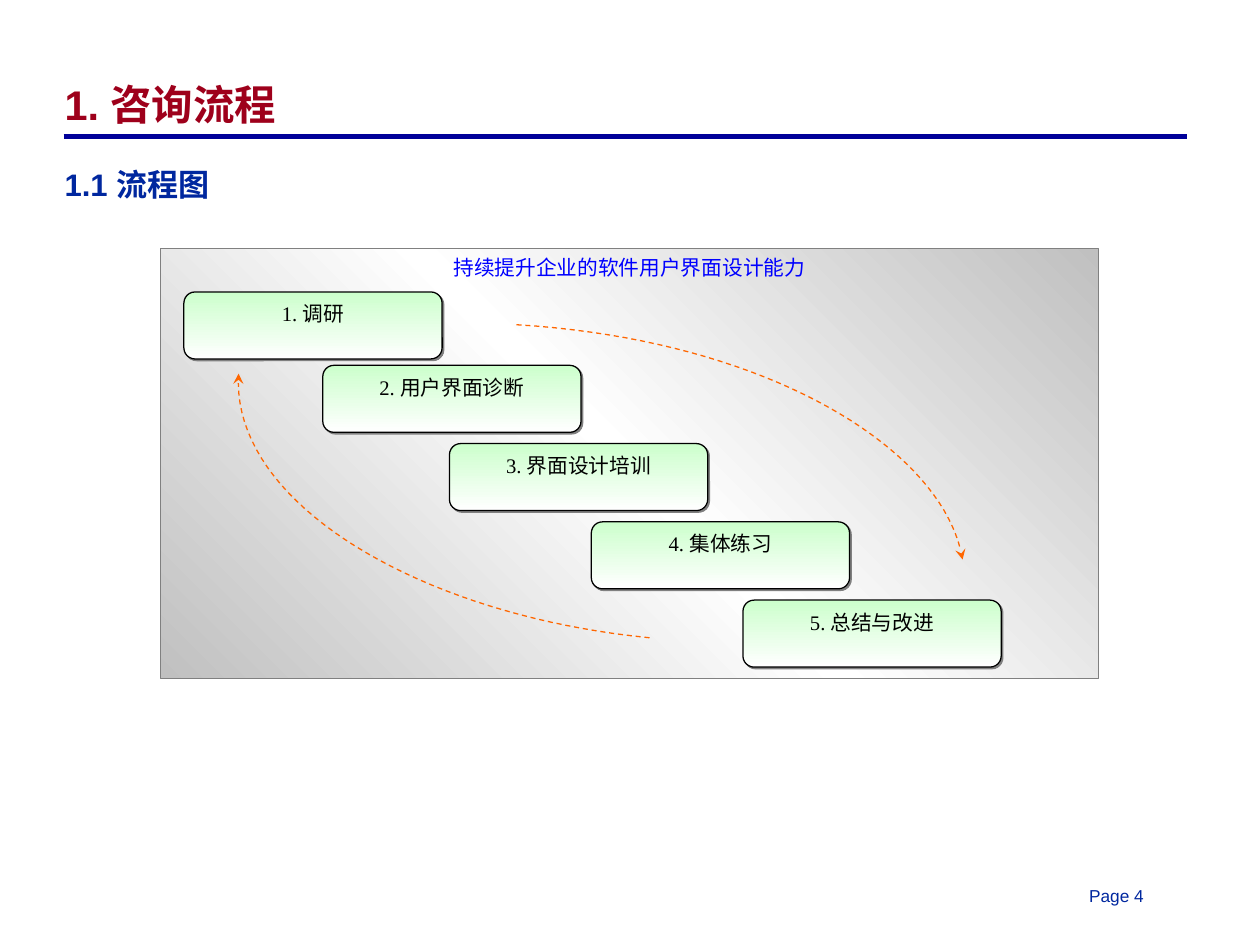
from lxml import etree
from pptx import Presentation
from pptx.dml.color import RGBColor
from pptx.enum.dml import MSO_LINE
from pptx.enum.shapes import MSO_CONNECTOR, MSO_SHAPE as SHAPE
from pptx.enum.text import MSO_ANCHOR as ANCHOR, PP_ALIGN as ALIGN
from pptx.oxml.ns import qn
from pptx.util import Cm, Pt


def color(hex_value):
    return RGBColor.from_string(hex_value)


def add_xml(parent, tag, **attributes):
    return etree.SubElement(parent, qn(tag), attributes)


class ProcessSlide:
    SANS, SERIF, CHINESE = "Arial", "Times New Roman", "Noto Sans CJK SC"
    NAVY, RED, BLUE = "00279F", "9E001B", "0000FF"
    RULE, ORANGE, GREY = "000099", "FF6600", "808080"

    def __init__(self, deck):
        self.shapes = deck.slides.add_slide(deck.slide_layouts[6]).shapes

    def set_text(self, shape, text, size, hex_value, font, bold=False, align=ALIGN.LEFT):
        frame = shape.text_frame
        frame.word_wrap = True
        frame.vertical_anchor = ANCHOR.TOP
        frame.text = text
        paragraph = frame.paragraphs[0]
        paragraph.alignment = align
        for run in paragraph.runs:
            run.font.size = Pt(size)
            run.font.bold = bold
            run.font.name = font
            run.font.color.rgb = color(hex_value)
            add_xml(run.font._element, "a:ea", typeface=self.CHINESE)
        return paragraph

    def label(self, box, text, size, hex_value, bold=False, anchor=ANCHOR.TOP, spacing=None):
        area = self.shapes.add_textbox(*map(Cm, box))
        paragraph = self.set_text(area, text, size, hex_value, self.SANS, bold)
        area.text_frame.vertical_anchor = anchor
        if spacing:
            paragraph.line_spacing = spacing

    def rule(self, left, right, top):
        line = self.shapes.add_connector(
            MSO_CONNECTOR.STRAIGHT, Cm(left), Cm(top), Cm(right), Cm(top))
        line.line.color.rgb = color(self.RULE)
        line.line.width = Pt(3)
        add_xml(line._element.spPr, "a:effectLst")

    def gradient_box(self, kind, box, text, text_color, stops, angle, outline):
        shape = self.shapes.add_shape(kind, *map(Cm, box))
        shape.shadow.inherit = False
        shape.fill.gradient()
        shape.fill.gradient_angle = 360 - angle
        stop_list = shape._element.spPr.find(".//" + qn("a:gsLst"))
        for old_stop in list(stop_list):
            stop_list.remove(old_stop)
        for position, stop_color in stops:
            stop = add_xml(stop_list, "a:gs", pos=str(position * 1000))
            add_xml(stop, "a:srgbClr", val=stop_color)
        shape.line.color.rgb = color(outline)
        shape.line.width = Pt(0.75)
        self.set_text(shape, text, 12, text_color, self.SERIF, align=ALIGN.CENTER)
        return shape

    def panel(self, box, text):
        stops = [(0, "C0C0C0"), (50, "FFFFFF"), (100, "C0C0C0")]
        self.gradient_box(SHAPE.RECTANGLE, box, text, self.BLUE, stops, 135, self.GREY)

    def step(self, left, top, text):
        stops = [(0, "CCFFCC"), (100, "FFFFFF")]
        shape = self.gradient_box(SHAPE.FLOWCHART_ALTERNATE_PROCESS, (left, top, 5.28, 1.37),
                                  text, "000000", stops, 90, "000000")
        effects = shape._element.spPr.find(qn("a:effectLst"))
        shadow = add_xml(effects, "a:outerShdw", dist=str(Pt(1.4)),
                         dir="2700000", algn="ctr", rotWithShape="0")
        add_xml(shadow, "a:srgbClr", val=self.GREY)

    def curved_arrow(self, *controls, segments=40):
        """Draw a cubic curve through four control points, given in cm."""
        points = []
        for i in range(segments + 1):
            t = i / segments
            weights = ((1 - t) ** 3, 3 * t * (1 - t) ** 2, 3 * t * t * (1 - t), t ** 3)
            points.append(tuple(
                Cm(sum(w * c[axis] for w, c in zip(weights, controls))) for axis in (0, 1)))
        builder = self.shapes.build_freeform(*points[0])
        builder.add_line_segments(points[1:], close=False)
        arrow = builder.convert_to_shape()
        arrow.shadow.inherit = False
        arrow.fill.background()
        arrow.line.color.rgb = color(self.ORANGE)
        arrow.line.width = Pt(0.75)
        arrow.line.dash_style = MSO_LINE.DASH
        add_xml(arrow._element.spPr.find(qn("a:ln")), "a:tailEnd", type="stealth")


def main():
    deck = Presentation()
    deck.slide_width, deck.slide_height = Cm(25.76), Cm(19.3)
    slide = ProcessSlide(deck)

    # Headings and page number
    slide.rule(1.3, 24.26, 2.79)
    slide.label((22.02, 17.98, 1.9, 0.69), "Page 4", 10, slide.NAVY)
    slide.label((1.07, 0.84, 22.96, 1.93), "1. 咨询流程", 24, slide.RED,
                bold=True, anchor=ANCHOR.BOTTOM, spacing=0.87)
    slide.label((1.07, 3.38, 22.96, 13.13), "1.1 流程图", 18, slide.NAVY,
                bold=True, spacing=Pt(18.2))

    # Process panel with its descending steps
    slide.panel((3.28, 5.08, 19.18, 8.79), "持续提升企业的软件用户界面设计能力")
    steps = [
        (3.76, 5.97, "调研"),
        (6.6, 7.47, "用户界面诊断"),
        (9.19, 9.07, "界面设计培训"),
        (12.09, 10.67, "集体练习"),
        (15.19, 12.27, "总结与改进"),
    ]
    for number, (left, top, name) in enumerate(steps, 1):
        slide.step(left, top, f"{number}. {name}")

    # Cycle arrows
    slide.curved_arrow((13.28, 13.04), (8.66, 12.59), (4.7, 10.32), (4.88, 7.64))
    slide.curved_arrow((10.56, 6.64), (15.73, 6.95), (19.31, 9.2), (19.68, 11.44))

    deck.save("out.pptx")


if __name__ == "__main__":
    main()
